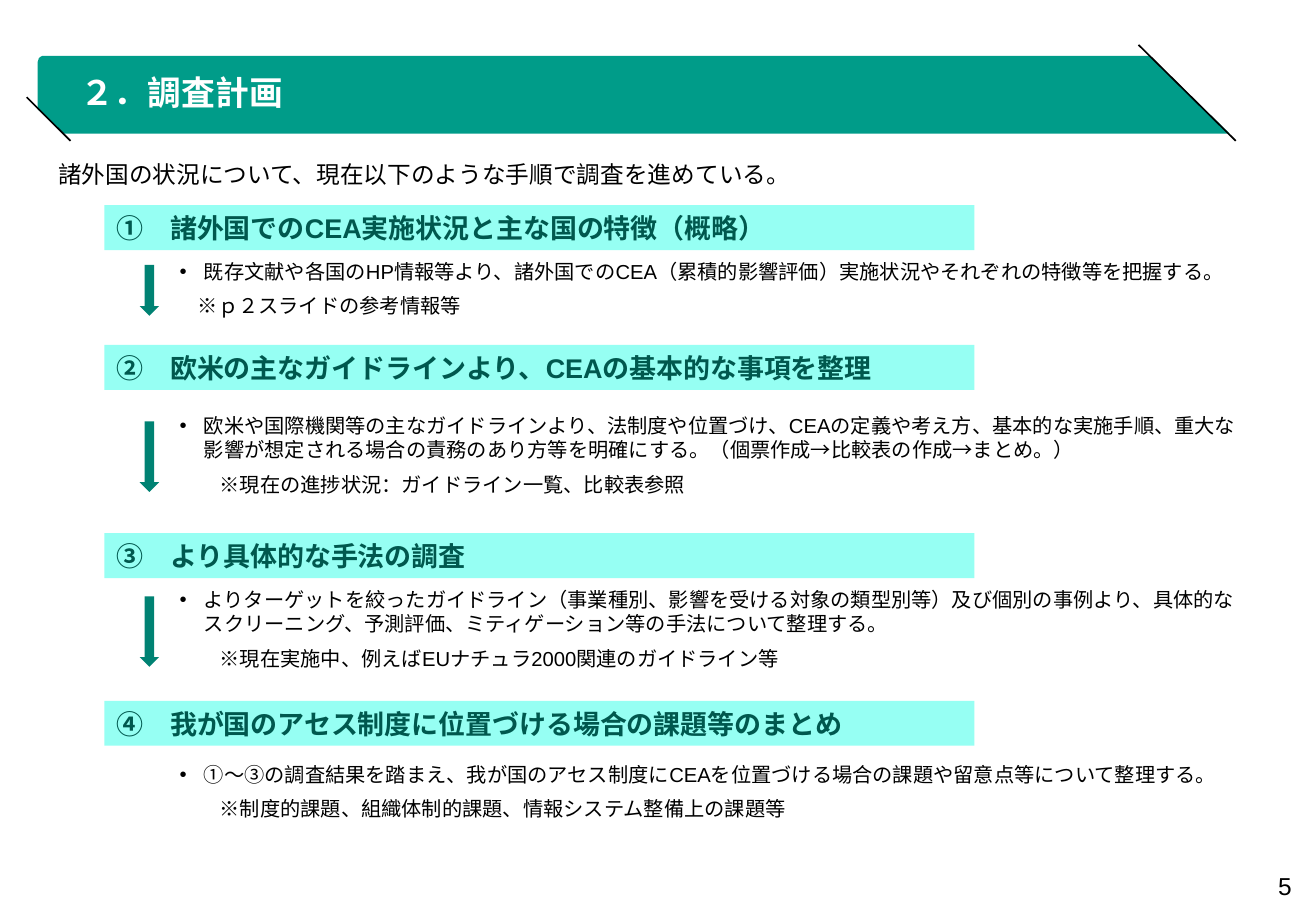
from pptx import Presentation
from pptx.dml.color import RGBColor
from pptx.enum.shapes import MSO_CONNECTOR, MSO_SHAPE
from pptx.enum.text import MSO_ANCHOR, PP_ALIGN
from pptx.oxml.ns import qn
from pptx.util import Pt
from lxml import etree

PX = 9144  # EMU per px, 100 px to the inch
RECT, DOWN_ARROW = MSO_SHAPE.RECTANGLE, MSO_SHAPE.DOWN_ARROW
STRAIGHT = MSO_CONNECTOR.STRAIGHT
MIDDLE, LEFT, CENTER = MSO_ANCHOR.MIDDLE, PP_ALIGN.LEFT, PP_ALIGN.CENTER
LATIN, JAPANESE = "Arial", "Noto Sans CJK JP"
BLACK, WHITE = "000000", "FFFFFF"
TITLE_GREEN, ARROW_GREEN = "009C89", "008273"
HEADING_FILL, HEADING_TEXT = "96FFF3", "00584E"

TITLE_BAND = [(38, 46), (946, 46), (1012, 110), (52, 110), (31, 90),
              (31, 51), (32, 48), (33, 47), (35, 46)]
CUT_LINES = [(937, 37, 1017, 116), (22, 80, 58, 116)]

# heading, heading top, detail, note, note indent, (detail top, height), (arrow top, height)
STEPS = [
    ("①　諸外国でのCEA実施状況と主な国の特徴（概略）", 169,
     "既存文献や各国のHP情報等より、諸外国でのCEA（累積的影響評価）実施状況やそれぞれの特徴等を把握する。",
     "※ｐ２スライドの参考情報等", 15, (208, 59), (218, 42)),
    ("②　欧米の主なガイドラインより、CEAの基本的な事項を整理", 284,
     "欧米や国際機関等の主なガイドラインより、法制度や位置づけ、CEAの定義や考え方、基本的な実施手順、"
     "重大な影響が想定される場合の責務のあり方等を明確にする。（個票作成→比較表の作成→まとめ。）",
     "※現在の進捗状況：ガイドライン一覧、比較表参照", 33, (335, 79), (347, 58)),
    ("③　より具体的な手法の調査", 439,
     "よりターゲットを絞ったガイドライン（事業種別、影響を受ける対象の類型別等）及び個別の事例より、"
     "具体的なスクリーニング、予測評価、ミティゲーション等の手法について整理する。",
     "※現在実施中、例えばEUナチュラ2000関連のガイドライン等", 33, (478, 79), (491, 58)),
    ("④　我が国のアセス制度に位置づける場合の課題等のまとめ", 577,
     "①～③の調査結果を踏まえ、我が国のアセス制度にCEAを位置づける場合の課題や留意点等について整理する。",
     "※制度的課題、組織体制的課題、情報システム整備上の課題等", 33, (622, 59), None),
]


def color(value):
    return RGBColor.from_string(value)


def px(*lengths):
    return [length * PX for length in lengths]


class PlanSlide:
    def __init__(self, slide):
        self.shapes = slide.shapes

    def paint(self, shape, fill):
        shape.shadow.inherit = False
        shape.fill.solid()
        shape.fill.fore_color.rgb = color(fill)
        shape.line.fill.background()
        return shape

    def shape(self, kind, box, fill):
        return self.paint(self.shapes.add_shape(kind, *px(*box)), fill)

    def polygon(self, points, fill):
        builder = self.shapes.build_freeform(*points[0], scale=PX)
        builder.add_line_segments(points[1:])
        return self.paint(builder.convert_to_shape(), fill)

    def line(self, ends):
        connector = self.shapes.add_connector(STRAIGHT, *px(*ends))
        connector.line.color.rgb = color(BLACK)
        connector.line.width = Pt(1)
        etree.SubElement(connector.element.spPr, qn("a:effectLst"))

    def text_box(self, box):
        return self.shapes.add_textbox(*px(*box))

    def set_text(self, holder, lines, size, ink=BLACK, bold=False, font=LATIN,
                 insets=(10, 5, 10, 5), wrap=True):
        """Fill a shape with one paragraph per line and return the paragraphs."""
        frame = holder.text_frame
        frame.text = "\n".join(lines)
        frame.word_wrap = wrap
        frame.vertical_anchor = MIDDLE
        (frame.margin_left, frame.margin_top,
         frame.margin_right, frame.margin_bottom) = px(*insets)
        for paragraph in frame.paragraphs:
            paragraph.alignment = LEFT
            for run in paragraph.runs:
                run.font.size = Pt(size)
                run.font.bold = bold
                run.font.color.rgb = color(ink)
                run.font.name = font
                east_asian = etree.SubElement(run.font._element, qn("a:ea"))
                east_asian.set("typeface", JAPANESE)
        return frame.paragraphs

    def indent(self, paragraph, left, hanging=0, bullet=None):
        properties = paragraph._p.get_or_add_pPr()
        properties.set("marL", str(left * PX))
        properties.set("indent", str(-hanging * PX))
        if bullet:
            font = etree.SubElement(properties, qn("a:buFont"))
            font.set("typeface", LATIN)
            etree.SubElement(properties, qn("a:buChar")).set("char", bullet)

    def heading(self, text, top):
        banner = self.shape(RECT, (86, top, 716, 37), HEADING_FILL)
        self.set_text(banner, [text], 16, HEADING_TEXT, bold=True)

    def explanation(self, detail, note, note_indent, top, height):
        box = self.text_box((138, top, 894, height))
        detail_line, note_line = self.set_text(box, [detail, note], 12)
        self.indent(detail_line, 20, hanging=20, bullet="•")
        self.indent(note_line, note_indent)
        note_line.space_before = Pt(6)


def main():
    deck = Presentation()
    deck.slide_width, deck.slide_height = px(1083, 750)
    plan = PlanSlide(deck.slides.add_slide(deck.slide_layouts[6]))

    plan.polygon(TITLE_BAND, TITLE_GREEN)
    for ends in CUT_LINES:
        plan.line(ends)
    title = plan.set_text(plan.text_box((38, 44, 905, 64)), ["２．調査計画"], 20, WHITE,
                          bold=True, font=JAPANESE, insets=(28, 4, 0, 0))
    title[0].line_spacing = 0.9
    intro = plan.set_text(plan.text_box((38, 126, 894, 34)),
                          ["諸外国の状況について、現在以下のような手順で調査を進めている。"], 14)
    intro[0].space_after = Pt(6)

    for heading, heading_top, detail, note, note_indent, body, arrow in STEPS:
        plan.heading(heading, heading_top)
        plan.explanation(detail, note, note_indent, *body)
        if arrow:
            arrow_top, arrow_height = arrow
            plan.shape(DOWN_ARROW, (115, arrow_top, 16, arrow_height), ARROW_GREEN)

    page_number = plan.set_text(plan.text_box((1046, 720, 23, 19)), ["5"], 14.5,
                                insets=(0, 0, 0, 0), wrap=False)
    page_number[0].alignment = CENTER
    deck.save("out.pptx")


if __name__ == "__main__":
    main()
